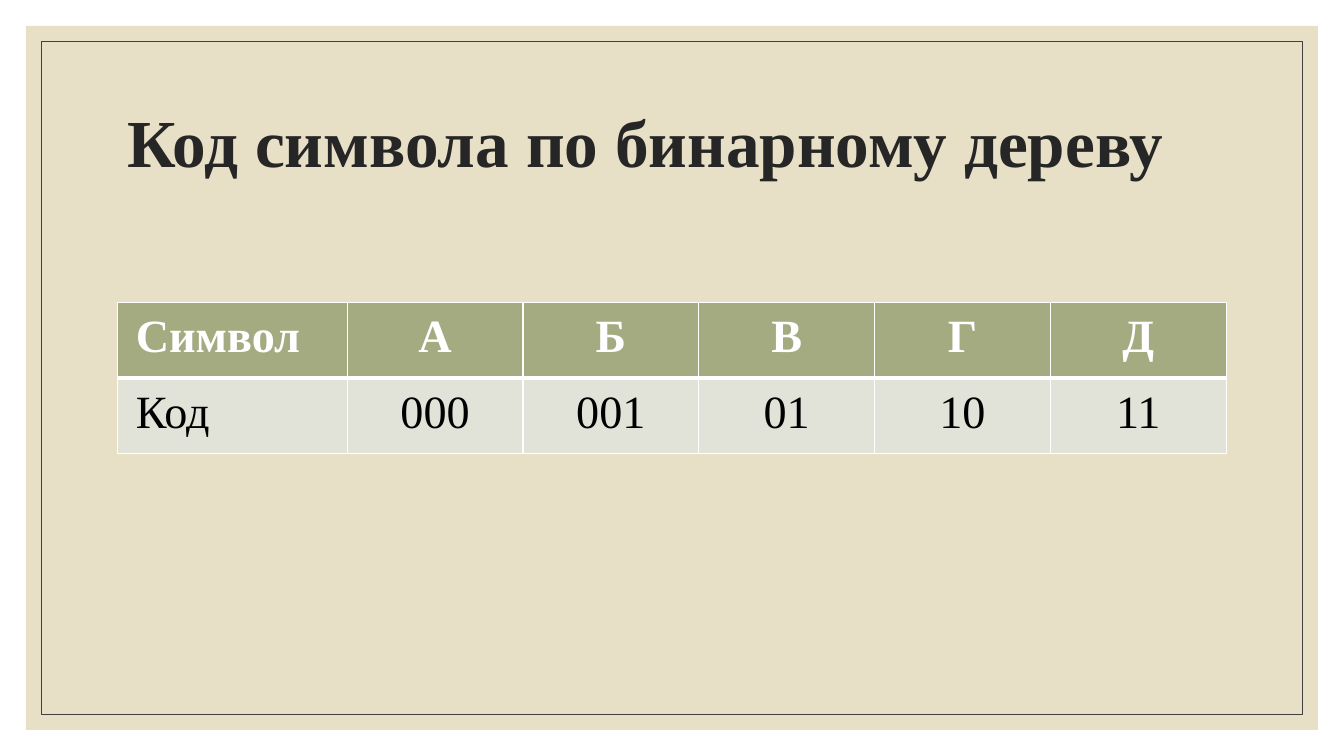
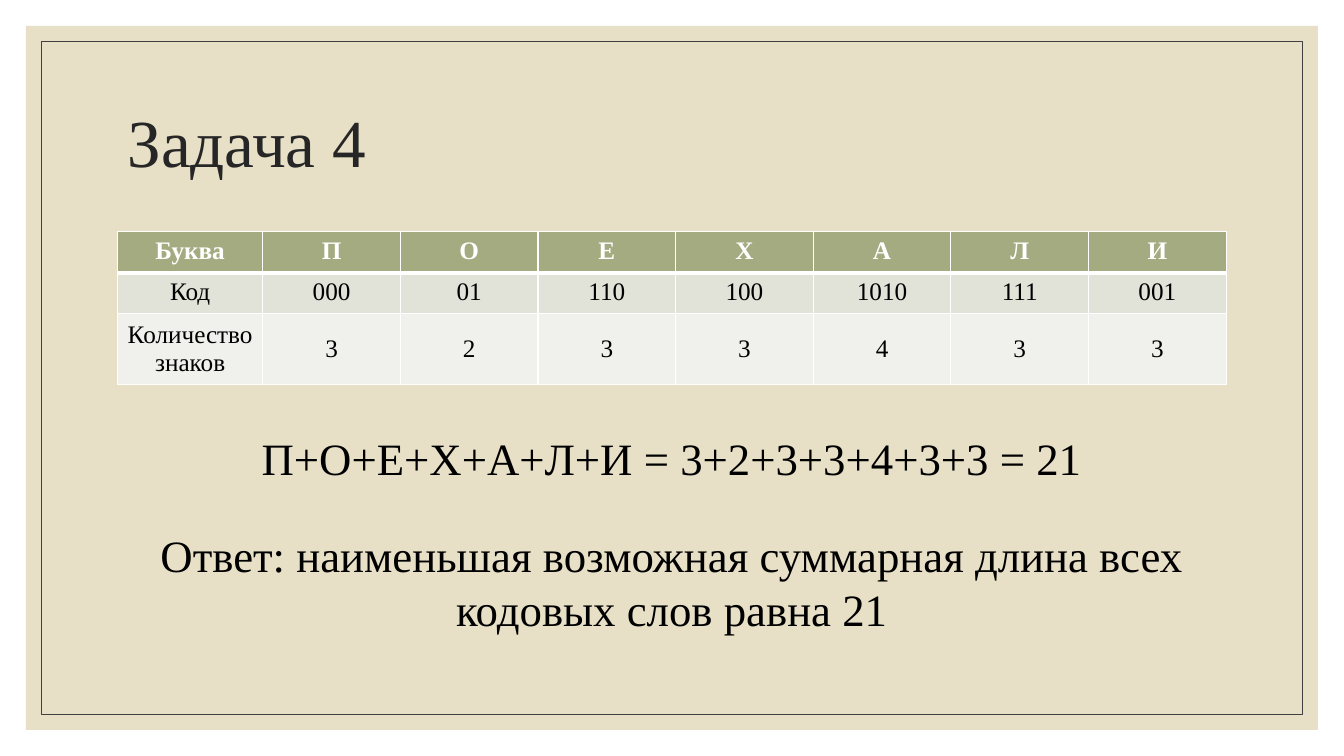
"""Build two slides on binary tree codes, each with a framed page and a table."""
from lxml import etree
from pptx import Presentation
from pptx.dml.color import RGBColor
from pptx.enum.shapes import MSO_SHAPE
from pptx.enum.text import MSO_ANCHOR, PP_ALIGN
from pptx.oxml.ns import qn
from pptx.util import Pt

RECTANGLE = MSO_SHAPE.RECTANGLE
TOP, MIDDLE = MSO_ANCHOR.TOP, MSO_ANCHOR.MIDDLE
LEFT, CENTER = PP_ALIGN.LEFT, PP_ALIGN.CENTER

FONT = "Times New Roman"
COLORS = {
    "sand": "E7E0C7",
    "frame": "404040",
    "title": "262626",
    "text": "000000",
    "white": "FFFFFF",
    "header": "A5AB81",
    "band_dark": "E1E2D8",
    "band_light": "F0F1ED",
}
ROW_FILLS = ["header", "band_dark", "band_light"]
PAGE_WIDTH, PAGE_HEIGHT = 960, 540
CONTENT_LEFT, CONTENT_WIDTH = 84, 792


def rgb(name):
    return RGBColor.from_string(COLORS[name])


def add_span(para, text, size, color, bold=False):
    span = para.add_run()
    span.text = text
    span.font.name = FONT
    span.font.size = Pt(size)
    span.font.bold = bold
    span.font.color.rgb = rgb(color)


def add_panel(page, margin):
    panel = page.shapes.add_shape(
        RECTANGLE, Pt(margin), Pt(margin),
        Pt(PAGE_WIDTH - 2 * margin), Pt(PAGE_HEIGHT - 2 * margin))
    panel.shadow.inherit = False
    panel.fill.background()
    panel.line.fill.background()
    return panel


def add_text(page, text, top, height, size, color="text", bold=False,
             align=CENTER, anchor=TOP, spacing=1.0):
    box = page.shapes.add_textbox(
        Pt(CONTENT_LEFT), Pt(top), Pt(CONTENT_WIDTH), Pt(height))
    frame = box.text_frame
    frame.word_wrap = True
    frame.vertical_anchor = anchor
    para = frame.paragraphs[0]
    para.alignment = align
    para.line_spacing = spacing
    add_span(para, text, size, color, bold)


def add_page(deck, title, bold=False):
    page = deck.slides.add_slide(deck.slide_layouts[6])
    background = add_panel(page, 18.6)
    background.fill.solid()
    background.fill.fore_color.rgb = rgb("sand")
    border = add_panel(page, 29.4)
    border.line.color.rgb = rgb("frame")
    border.line.width = Pt(0.5)
    add_text(page, title, 50.4, 108, 48, "title", bold, LEFT, MIDDLE, 0.9)
    return page


def set_borders(cell, widths):
    properties = cell._tc.get_or_add_tcPr()
    for index, (side, width) in enumerate(widths.items()):
        line = etree.Element(qn(f"a:ln{side}"), w=str(Pt(width)))
        fill = etree.SubElement(line, qn("a:solidFill"))
        etree.SubElement(fill, qn("a:srgbClr"), val=COLORS["white"])
        properties.insert(index, line)


def add_table(page, rows, top, first_width, heights, size, margins,
              label_align=CENTER):
    count = len(rows[0])
    table = page.shapes.add_table(
        len(rows), count, Pt(CONTENT_LEFT), Pt(top),
        Pt(CONTENT_WIDTH), Pt(sum(heights))).table
    other_width = (CONTENT_WIDTH - first_width) / (count - 1)
    for index, column in enumerate(table.columns):
        column.width = Pt(other_width if index else first_width)
    for row_index, values in enumerate(rows):
        table.rows[row_index].height = Pt(heights[row_index])
        is_header = row_index == 0
        for column_index, value in enumerate(values):
            cell = table.cell(row_index, column_index)
            cell.margin_left = cell.margin_right = Pt(margins[0])
            cell.margin_top = cell.margin_bottom = Pt(margins[1])
            cell.vertical_anchor = MIDDLE if row_index == 2 else TOP
            cell.fill.solid()
            cell.fill.fore_color.rgb = rgb(ROW_FILLS[row_index])
            set_borders(cell, {"L": 1, "R": 1,
                               "T": 3 if row_index == 1 else 1,
                               "B": 3 if is_header else 1})
            para = cell.text_frame.paragraphs[0]
            para.alignment = CENTER if column_index else label_align
            add_span(para, value, size, "white" if is_header else "text",
                     is_header)


def build_code_page(deck):
    page = add_page(deck, "Код символа по бинарному дереву", bold=True)
    rows = [
        ["Символ", "А", "Б", "В", "Г", "Д"],
        ["Код", "000", "001", "01", "10", "11"],
    ]
    add_table(page, rows, 216, 164, [54, 54], 33, (13, 6.5), LEFT)


def build_task_page(deck):
    page = add_page(deck, "Задача 4")
    letters = ["П", "О", "Е", "Х", "А", "Л", "И"]
    codes = ["000", "01", "110", "100", "1010", "111", "001"]
    lengths = [str(len(code)) for code in codes]
    rows = [
        ["Буква"] + letters,
        ["Код"] + codes,
        ["Количество знаков"] + lengths,
    ]
    add_table(page, rows, 165.6, 103.7, [29.2, 29.2, 47], 18, (7.2, 3.6))
    total = sum(len(code) for code in codes)
    add_text(page, f"{'+'.join(letters)} = {'+'.join(lengths)} = {total}",
             303.8, 46, 32)
    add_text(page, "Ответ: наименьшая возможная суммарная длина всех "
             f"кодовых слов равна {total}", 373.7, 85, 32)


def main():
    deck = Presentation()
    deck.slide_width, deck.slide_height = Pt(PAGE_WIDTH), Pt(PAGE_HEIGHT)
    build_code_page(deck)
    build_task_page(deck)
    deck.save("out.pptx")


if __name__ == "__main__":
    main()
